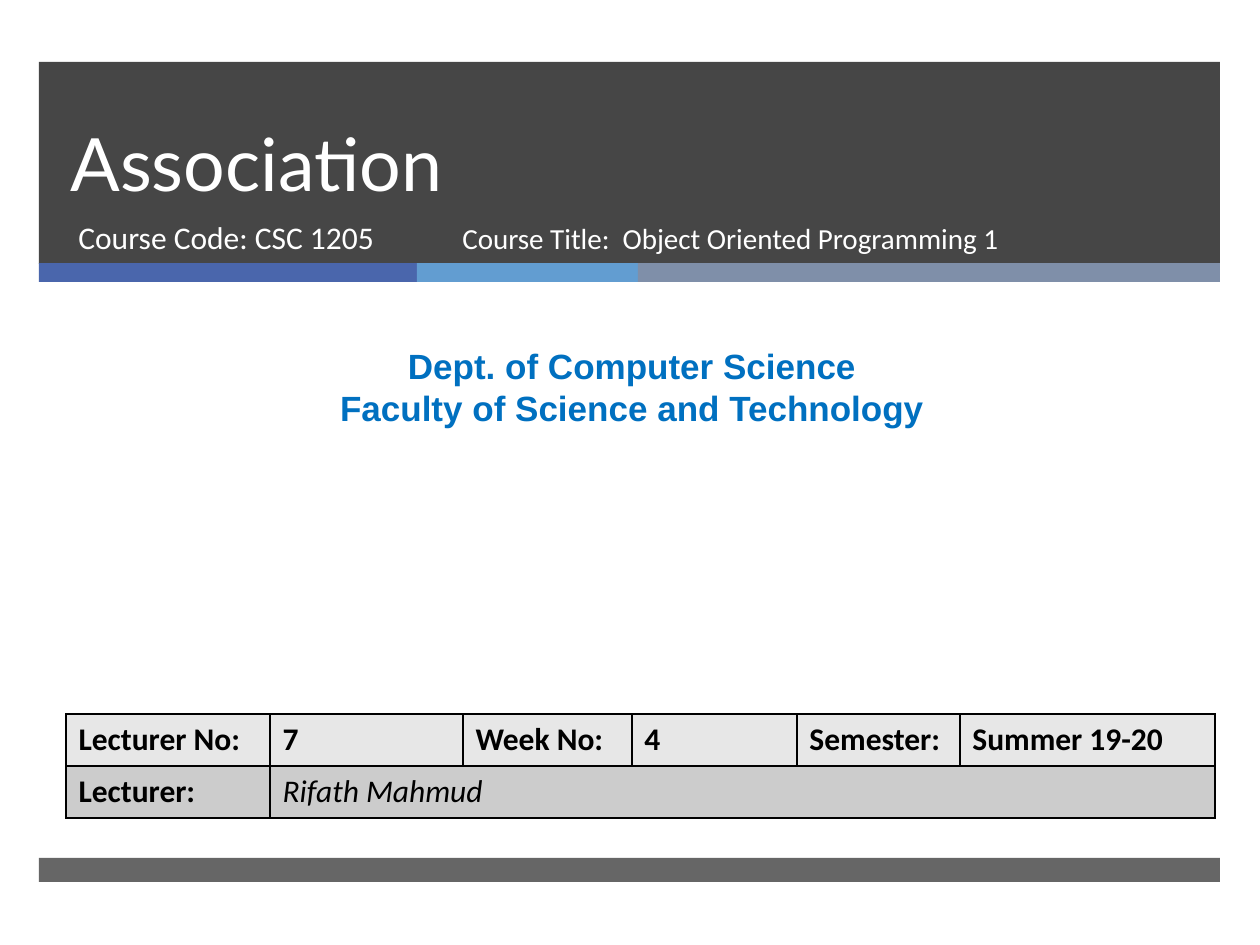
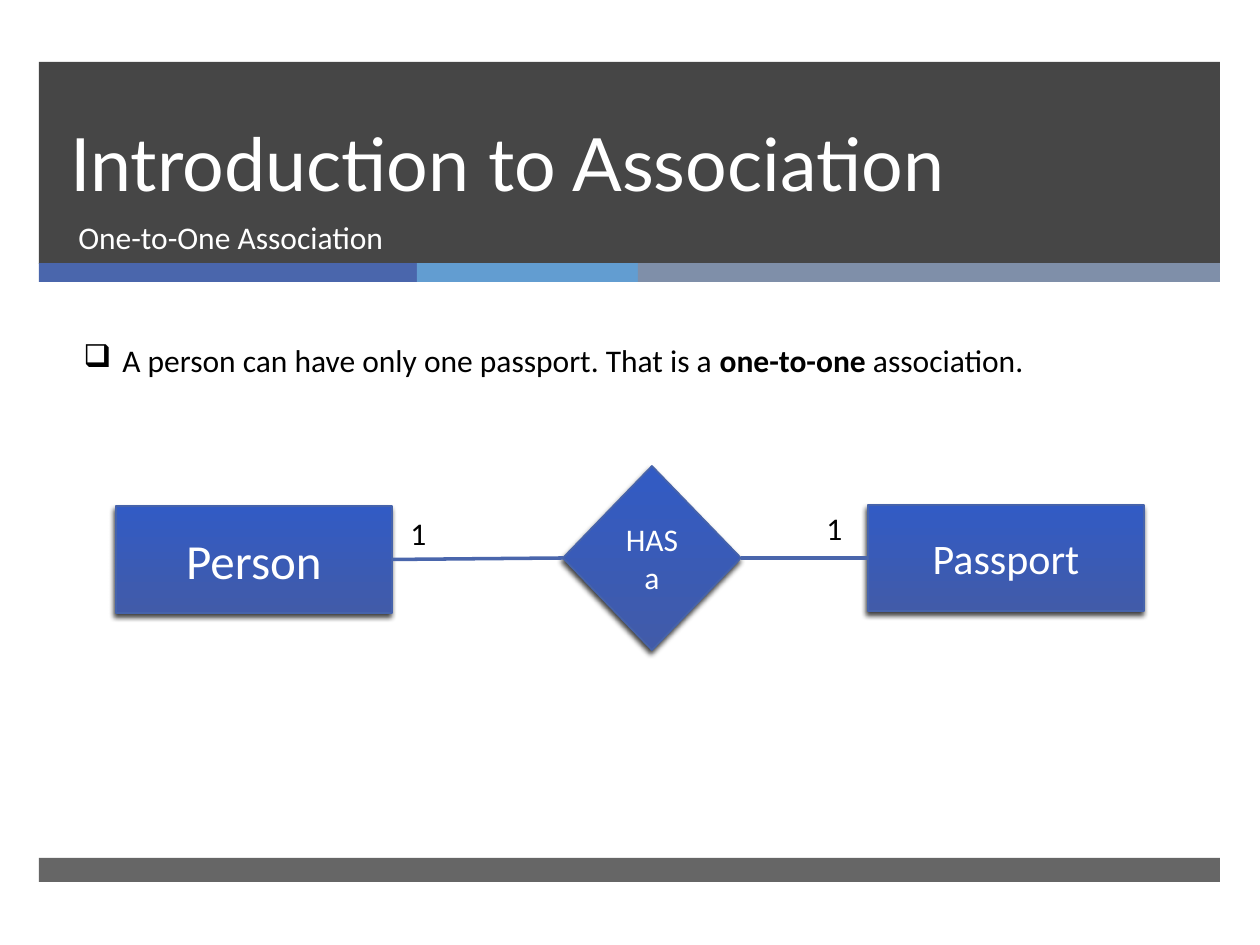
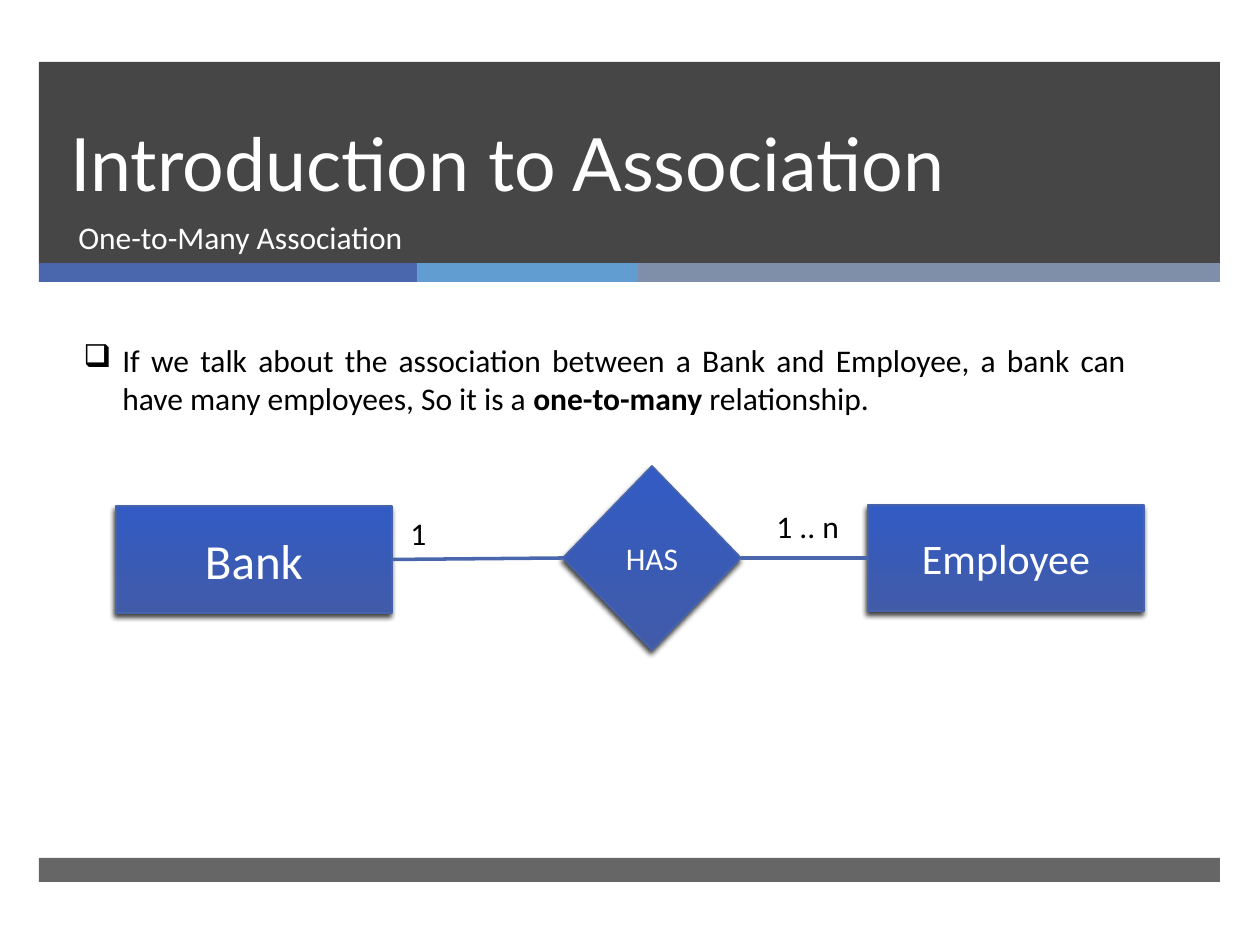
"""Build three slides on association between classes."""
from lxml.etree import SubElement
from pptx import Presentation
from pptx.dml.color import RGBColor
from pptx.enum.shapes import MSO_CONNECTOR, MSO_SHAPE
from pptx.enum.text import MSO_ANCHOR, PP_ALIGN
from pptx.oxml import parse_xml
from pptx.oxml.ns import nsdecls, qn
from pptx.util import Pt

SCALE = 914400 / 126
WHITE = RGBColor(0xFF, 0xFF, 0xFF)
BLACK = RGBColor(0, 0, 0)
DARK = RGBColor(0x26, 0x26, 0x26)
BLUE = RGBColor(0x4A, 0x66, 0xAC)
SKY = RGBColor(0x62, 0x9D, 0xD1)
STEEL = RGBColor(0x7F, 0x8F, 0xA9)
AZURE = RGBColor(0x00, 0x70, 0xC0)
LOW = RGBColor(0x41, 0x5B, 0xA9)
HIGH = RGBColor(0x32, 0x5B, 0xC4)
EDGE = RGBColor(0x46, 0x63, 0xAB)
PALE = RGBColor(0xE7, 0xE7, 0xE7)
GREY = RGBColor(0xCC, 0xCC, 0xCC)

BANDS = [
    (39, 62, 1181, 202, DARK, 85),
    (39, 263, 378, 19, BLUE, 100),
    (417, 263, 221, 19, SKY, 100),
    (638, 263, 582, 19, STEEL, 100),
    (39, 858, 1181, 24, DARK, 70),
]


def px(*nums):
    return [round(num * SCALE) for num in nums]


def write(frame, text, size=18, font="Calibri", color=BLACK, bold=False, italic=False,
          align=None, anchor=None, lead=None, bullet=None):
    frame.word_wrap = True
    if anchor is not None:
        frame.vertical_anchor = anchor
    for i, line in enumerate(text.split("\n")):
        para = frame.add_paragraph() if i else frame.paragraphs[0]
        para.alignment = align
        if lead:
            para.line_spacing = Pt(lead)
        if bullet:
            props = para._p.get_or_add_pPr()
            dent = px(39)[0]
            props.set("marL", str(dent))
            props.set("indent", str(-dent))
            SubElement(props, qn("a:buChar")).set("char", bullet)
        for j, part in enumerate(line.split("*")):
            run = para.add_run()
            run.text = part
            run.font.size = Pt(size)
            run.font.name = font
            run.font.color.rgb = color
            run.font.bold = bold or j % 2 == 1
            run.font.italic = italic


deck = Presentation()
deck.slide_width, deck.slide_height = px(1260, 945)

pages = []
for title, sub, wide in [
    ("Association", "Course Code: CSC 1205", 384),
    ("Introduction to Association", "One-to-One Association", 1068),
    ("Introduction to Association", "One-to-Many Association", 1068),
]:
    page = deck.slides.add_slide(deck.slide_layouts[6]).shapes
    pages.append(page)
    for *place, color, alpha in BANDS:
        band = page.add_shape(MSO_SHAPE.RECTANGLE, *px(*place))
        band.shadow.inherit = False
        band.line.fill.background()
        band.fill.solid()
        band.fill.fore_color.rgb = color
        if alpha < 100:
            tone = band._element.spPr.find(qn("a:solidFill"))[0]
            SubElement(tone, qn("a:alpha")).set("val", str(alpha * 1000))
    head = page.add_textbox(*px(58, 62, 1076, 150)).text_frame
    write(head, title, size=42, font="Lato", color=WHITE, anchor=MSO_ANCHOR.BOTTOM, lead=46)
    write(page.add_textbox(*px(66, 212, wide, 67)).text_frame, sub, color=WHITE)

cover = pages[0]
write(cover.add_textbox(*px(450, 214, 581, 65)).text_frame,
      "Course Title:  Object Oriented Programming 1", size=16.6, color=WHITE)
write(cover.add_textbox(*px(10, 338, 1244, 97)).text_frame,
      "Dept. of Computer Science\nFaculty of Science and Technology",
      size=20, font="Arial", color=AZURE, bold=True, align=PP_ALIGN.CENTER)

rows = [
    (["Lecturer No:", "7", "Week No:", "4", "Semester:", "Summer 19-20"], PALE),
    (["Lecturer:", "Rifath Mahmud", "", "", "", ""], GREY),
]
table = cover.add_table(2, 6, *px(66, 714, 1149, 104)).table
for col, wide in zip(table.columns, px(204, 193, 169, 165, 163, 255)):
    col.width = wide
table.cell(1, 1).merge(table.cell(1, 5))
for r, (texts, shade) in enumerate(rows):
    for c, text in enumerate(texts):
        cell = table.cell(r, c)
        for side in "LRTB":
            cell._tc.get_or_add_tcPr().append(parse_xml(
                f'<a:ln{side} {nsdecls("a")} w="12700"><a:solidFill>'
                f'<a:srgbClr val="{BLACK}"/></a:solidFill></a:ln{side}>'))
        cell.fill.solid()
        cell.fill.fore_color.rgb = shade
        if text:
            name = (r, c) == (1, 1)
            write(cell.text_frame, text, bold=not name, italic=name)

for page, fact, tall, left, verb, right, count, spot in [
    (pages[1], "A person can have only one passport. That is a *one-to-one* association.",
     50, "Person", "HAS a", "Passport", "1", (814, 503, 57, 50)),
    (pages[2], "If we talk about the association between a Bank and Employee, a bank can "
     "have many employees, So it is a *one-to-many *relationship.",
     89, "Bank", "HAS", "Employee", "1 .. n", (764, 501, 106, 50)),
]:
    write(page.add_textbox(*px(71, 335, 1068, tall)).text_frame, fact,
          align=PP_ALIGN.JUSTIFY, bullet="❑")
    nodes = []
    for kind, place, text, size in [
        (MSO_SHAPE.RECTANGLE, (116, 506, 276, 107), left, 28),
        (MSO_SHAPE.DIAMOND, (563, 466, 178, 184), verb, 18),
        (MSO_SHAPE.RECTANGLE, (868, 505, 276, 106), right, 24),
    ]:
        node = page.add_shape(kind, *px(*place))
        nodes.append(node)
        node.fill.gradient()
        node.fill.gradient_angle = 90
        for stop, color, pos in zip(node.fill.gradient_stops, (LOW, HIGH), (0, 1)):
            stop.color.rgb = color
            stop.position = pos
        node.line.color.rgb = EDGE
        node.line.width = Pt(1)
        node.shadow.inherit = False
        node._element.spPr.find(qn("a:effectLst")).append(parse_xml(
            f'<a:outerShdw {nsdecls("a")} blurRad="38100" dist="25400" dir="6600000" '
            f'rotWithShape="0"><a:srgbClr val="{BLACK}"><a:alpha val="75000"/>'
            '</a:srgbClr></a:outerShdw>'))
        write(node.text_frame, text, size=size, color=WHITE,
              align=PP_ALIGN.CENTER, anchor=MSO_ANCHOR.MIDDLE)
    for start, end in zip(nodes, nodes[1:]):
        link = page.add_connector(MSO_CONNECTOR.STRAIGHT, 0, 0, 0, 0)
        link.begin_connect(start, 3)
        link.end_connect(end, 1)
        link.line.color.rgb = BLUE
        link.line.width = Pt(2)
        SubElement(link._element.spPr, qn("a:effectLst"))
    for text, place in [("1", (398, 508, 57, 50)), (count, spot)]:
        write(page.add_textbox(*px(*place)).text_frame, text)

deck.save("out.pptx")
